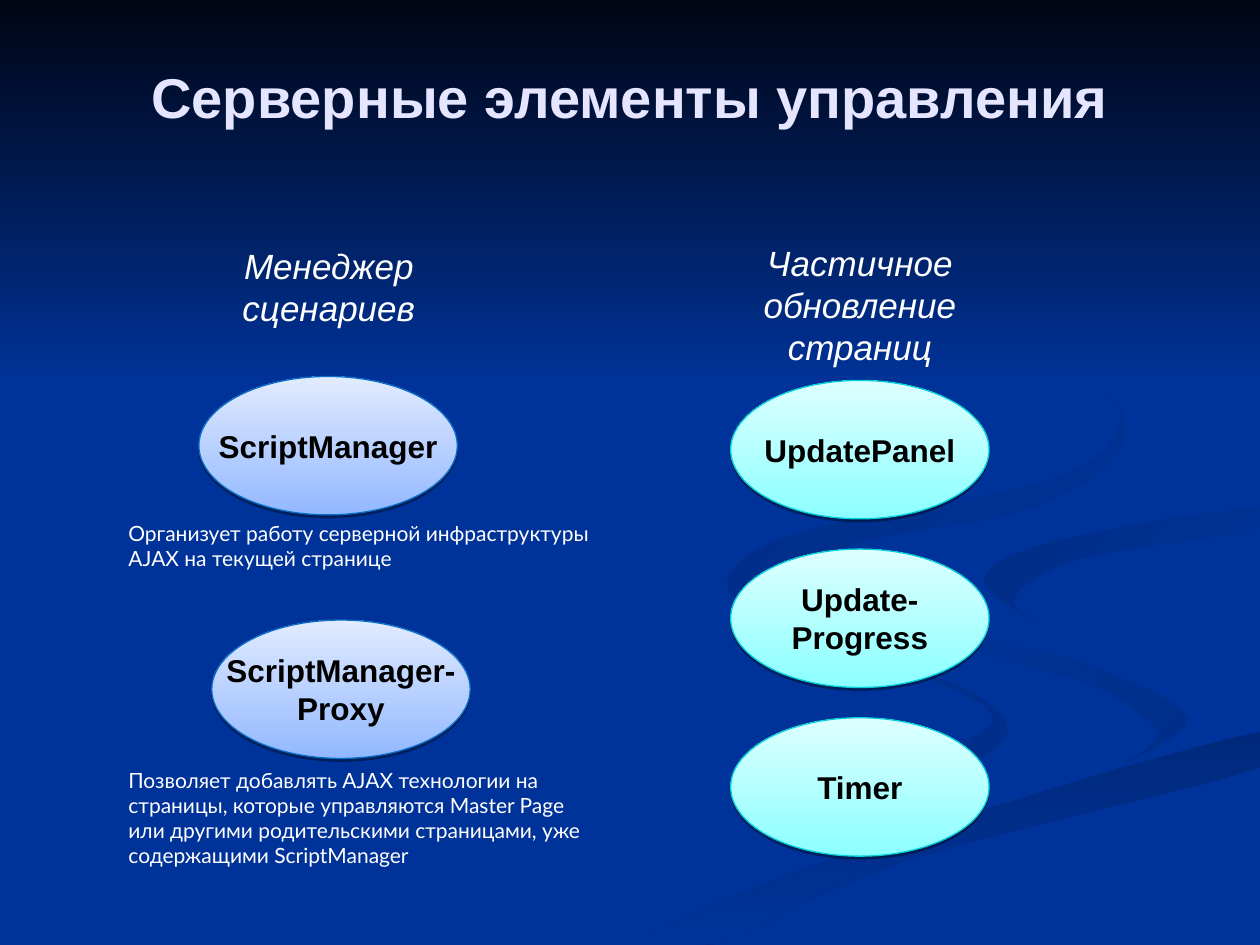
from lxml import etree
from pptx import Presentation
from pptx.dml.color import RGBColor
from pptx.enum.shapes import MSO_SHAPE
from pptx.enum.text import MSO_ANCHOR, PP_ALIGN
from pptx.oxml.ns import qn
from pptx.util import Cm, Pt

OVAL, RECT = MSO_SHAPE.OVAL, MSO_SHAPE.RECTANGLE
MIDDLE, TOP = MSO_ANCHOR.MIDDLE, MSO_ANCHOR.TOP
CENTER, LEFT = PP_ALIGN.CENTER, PP_ALIGN.LEFT

COLORS = {
    "base": "003399", "night": "000514", "title": "E5E5FF",
    "white": "FFFFFF", "black": "000000",
    "wave1": "002E8A", "wave2": "00297C", "wave3": "002C85", "wave4": "002B81",
    "blue": "93B8FF", "pale_blue": "E1EBFF", "blue_line": "0A6DC6",
    "aqua": "8BFFFF", "pale_aqua": "DEFFFF", "aqua_line": "05D0D9",
}

# Text formats
TITLE = {"name": "Arial", "size": Pt(32), "bold": True}
LABEL = {"name": "Arial", "size": Pt(18), "bold": True}
HEAD = {"name": "Arial", "size": Pt(20), "italic": True}
NOTE = {"name": "Lato", "size": Pt(12)}

# Ovals: width, height, and the column of equal steps on the right
OVAL_W, OVAL_H = 5.21, 2.79
COL_X, COL_Y, STEP = 14.73, 7.67, 3.4

# Waves: first color, last color, angle, knots of the outline in 1/100 inch
WIDE, HIGH, CUTS = 1000, 750, 5
WAVES = [
    ("wave1", "base", 180, [
        (575, 460), (642, 507), (757, 543), (800, 581), (740, 618), (616, 640),
        (759, 590), (786, 566), (728, 535), (602, 495)]),
    ("wave1", "base", 135, [
        (724, 464), (759, 498), (870, 530), (943, 570), (894, 605),
        (918, 581), (868, 544), (766, 512)]),
    ("wave2", "base", 270, [
        (503, 749), (571, 749), (722, 682), (1000, 609), (1000, 581),
        (797, 638), (630, 693)]),
    ("base", "wave3", 135, [
        (781, 460), (826, 496), (805, 474), (859, 443), (1000, 420),
        (1000, 402), (835, 430)]),
    ("base", "wave4", 135, [
        (683, 430), (825, 402), (894, 344), (843, 275), (762, 233), (846, 279),
        (889, 335), (830, 382), (637, 422), (577, 462), (622, 500), (593, 470)]),
]


def rgb(key):
    return RGBColor.from_string(COLORS[key])


def curve(knots):
    """Run a closed smooth line through the knots, kept on the slide."""
    line = []
    for i in range(len(knots)):
        a, b, c, d = (knots[(i + k) % len(knots)] for k in (-1, 0, 1, 2))
        for cut in range(CUTS):
            t = cut / CUTS
            x, y = (q + t * (r - p) / 2
                    + t ** 2 * (p - 2.5 * q + 2 * r - s / 2)
                    + t ** 3 * (3 * (q - r) + s - p) / 2
                    for p, q, r, s in zip(a, b, c, d))
            line.append((min(x, WIDE), min(y, HIGH)))
    return line


def shade(shape, first, last, angle):
    """Blend two colors; the angle runs counter-clockwise."""
    shape.shadow.inherit = False
    shape.fill.gradient()
    shape.fill.gradient_angle = angle
    for stop, key, place in zip(shape.fill.gradient_stops, (first, last), (0, 1)):
        stop.color.rgb, stop.position = rgb(key), place


def write(frame, text, style, color, align, anchor, wrap=True):
    frame.text = text
    frame.word_wrap, frame.vertical_anchor = wrap, anchor
    for para in frame.paragraphs:
        para.alignment = align
        for run in para.runs:
            for name, value in style.items():
                setattr(run.font, name, value)
            run.font.color.rgb = rgb(color)


def add_wave(slide, first, last, angle, knots):
    line = curve(knots)
    pen = slide.shapes.build_freeform(*line[0], scale=Cm(0.0254))
    pen.add_line_segments(line[1:])
    wave = pen.convert_to_shape()
    shade(wave, first, last, angle)
    wave.line.fill.background()


def add_shadow(shape):
    effects = shape._element.spPr.find(qn("a:effectLst"))
    outer = etree.SubElement(effects, qn("a:outerShdw"), blurRad="0",
                             dist="20320", dir="5400000", rotWithShape="0")
    color = etree.SubElement(outer, qn("a:srgbClr"), val=COLORS["black"])
    etree.SubElement(color, qn("a:alpha"), val="38000")


def add_oval(slide, x, y, text, hue):
    oval = slide.shapes.add_shape(OVAL, Cm(x), Cm(y), Cm(OVAL_W), Cm(OVAL_H))
    shade(oval, hue, "pale_" + hue, 90)
    add_shadow(oval)
    oval.line.color.rgb = rgb(hue + "_line")
    oval.line.width = Pt(0.75)
    write(oval.text_frame, text, LABEL, "black", CENTER, MIDDLE, wrap=False)


def add_text(slide, x, y, w, h, text, style, align):
    box = slide.shapes.add_textbox(Cm(x), Cm(y), Cm(w), Cm(h))
    write(box.text_frame, text, style, "white", align, TOP)


def add_title(slide, text):
    title = slide.shapes.title
    place = {"left": 0, "top": 1.14, "width": 25.4, "height": 1.6}
    for name, value in place.items():
        setattr(title, name, Cm(value))
    write(title.text_frame, text, TITLE, "title", CENTER, MIDDLE)


def main():
    prs = Presentation()
    prs.slide_width, prs.slide_height = Cm(25.4), Cm(19.05)
    slide = prs.slides.add_slide(prs.slide_layouts[5])

    # Backdrop
    slide.background.fill.solid()
    slide.background.fill.fore_color.rgb = rgb("base")
    for wave in WAVES:
        add_wave(slide, *wave)
    band = slide.shapes.add_shape(RECT, 0, 0, prs.slide_width, Cm(7.82))
    shade(band, "night", "base", 270)
    band.line.fill.background()

    # Title, brought in front of the band
    add_title(slide, "Серверные элементы управления")
    band._element.addnext(slide.shapes.title._element)

    # Right column
    for i, text in enumerate(("UpdatePanel", "Update-\nProgress", "Timer")):
        add_oval(slide, COL_X, COL_Y + i * STEP, text, "aqua")
    add_text(slide, 14.81, 4.75, 5.05, 2.79,
             "Частичное обновление страниц", HEAD, CENTER)

    # Left column
    add_oval(slide, 4.01, 7.59, "ScriptManager", "blue")
    add_oval(slide, 4.27, 12.5, "ScriptManager-\nProxy", "blue")
    add_text(slide, 3.43, 4.8, 6.4, 1.96, "Менеджер сценариев", HEAD, CENTER)
    add_text(slide, 2.34, 10.36, 10.01, 1.27,
             "Организует работу серверной инфраструктуры AJAX "
             "на текущей странице", NOTE, LEFT)
    add_text(slide, 2.34, 15.34, 9.73, 2.79,
             "Позволяет добавлять AJAX технологии на страницы, которые "
             "управляются Master Page или другими родительскими страницами, "
             "уже содержащими ScriptManager", NOTE, LEFT)

    prs.save("out.pptx")


if __name__ == "__main__":
    main()
